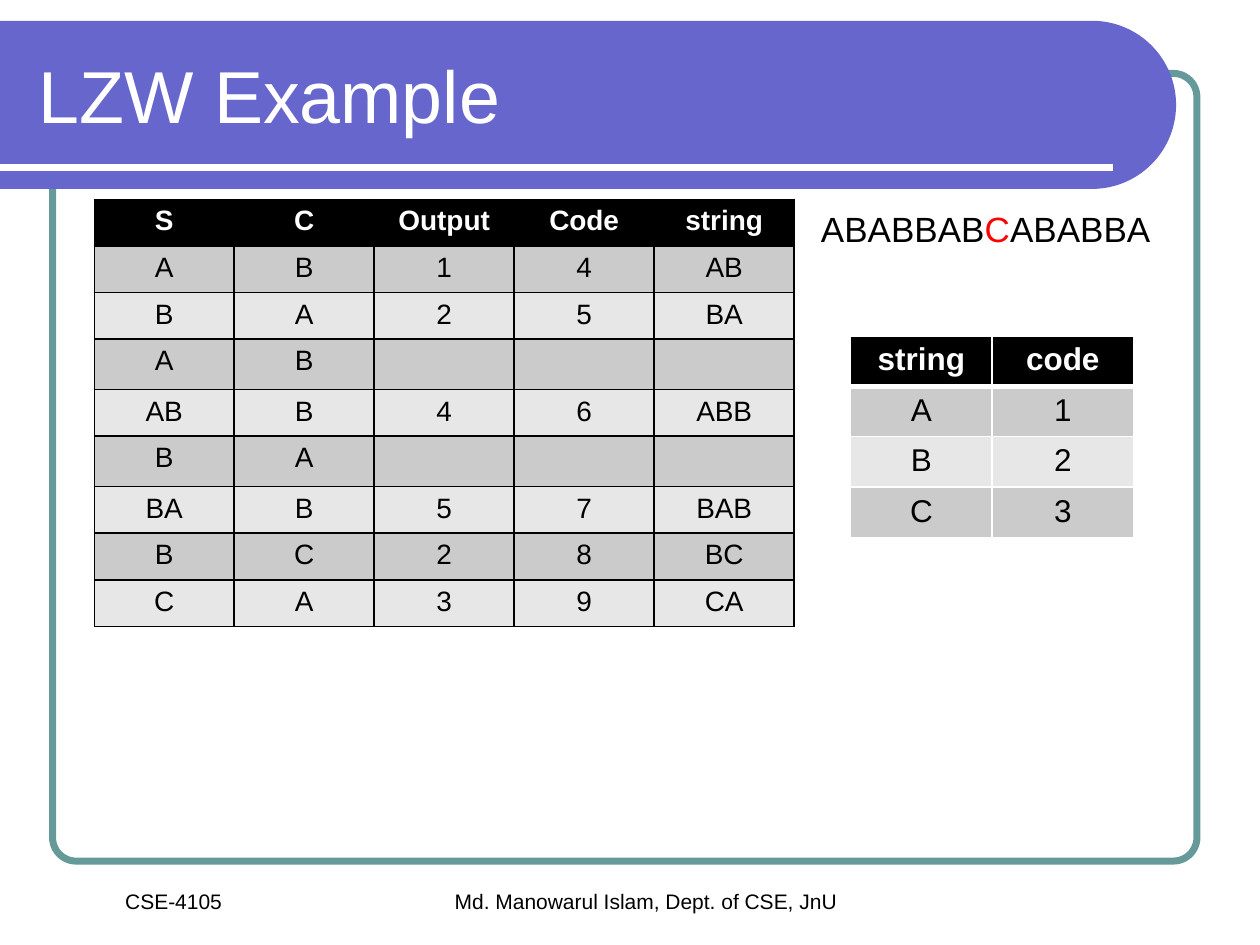
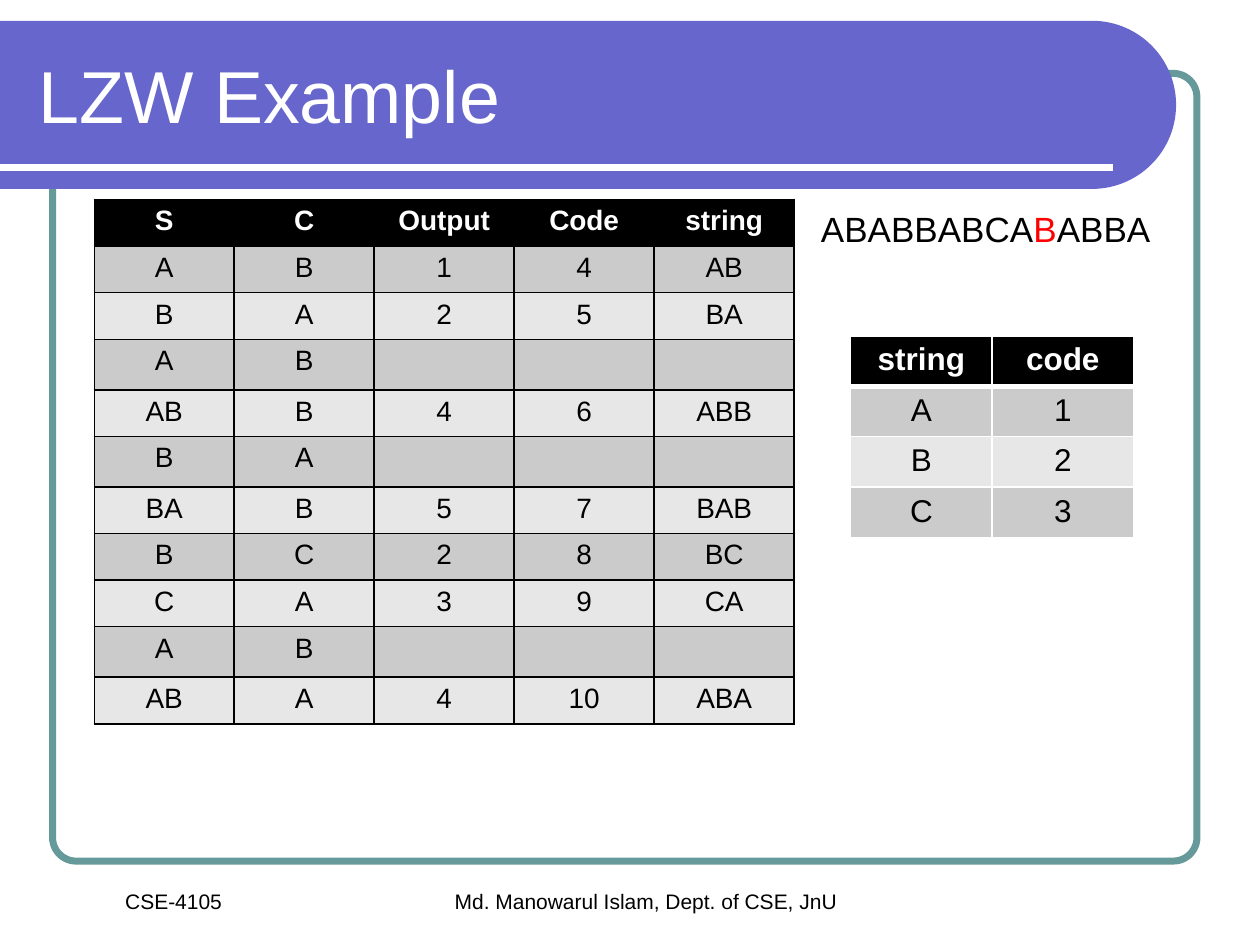
from collections import namedtuple
from math import cos, pi, sin

from lxml.etree import SubElement
from pptx import Presentation
from pptx.dml.color import RGBColor
from pptx.enum.shapes import MSO_CONNECTOR as Connector, MSO_SHAPE as Shape
from pptx.enum.text import MSO_ANCHOR as Anchor, PP_ALIGN as Align
from pptx.oxml.ns import qn
from pptx.util import Cm, Pt

Box = namedtuple("Box", "left top width height")

COLORS = {
    "band": "6666CC",
    "frame": "669999",
    "text": "000000",
    "light": "FFFFFF",
    "current": "FF0000",
    "header": "000000",
    "odd_row": "CBCBCB",
    "even_row": "E7E7E7",
}
FONT = "Arial"

SLIDE = Box(0, 0, 25.4, 19.05)
FRAME = Box(1.06, 1.48, 23.07, 15.88)
BAND = Box(0, 0.42, 23.71, 3.39)
FOOTER = Box(0, 17.78, 25.4, 0.76)
SEQUENCE = Box(16.3, 4.23, 10.37, 1.27)
STEPS = Box(1.9, 4.02, 14.11, 0.94)
CODES = Box(17.15, 6.77, 5.7, 1.01)

MESSAGE = "ABABBABCABABBA"
STEP_HEADER = ("S", "C", "Output", "Code", "string")
STEP_ROWS = [
    ("A", "B", "1", "4", "AB"),
    ("B", "A", "2", "5", "BA"),
    ("A", "B", "", "", ""),
    ("AB", "B", "4", "6", "ABB"),
    ("B", "A", "", "", ""),
    ("BA", "B", "5", "7", "BAB"),
    ("B", "C", "2", "8", "BC"),
    ("C", "A", "3", "9", "CA"),
    ("A", "B", "", "", ""),
    ("AB", "A", "4", "10", "ABA"),
]
CODE_ROWS = [("string", "code"), ("A", "1"), ("B", "2"), ("C", "3")]


def color(name):
    return RGBColor.from_string(COLORS[name])


def in_cm(box):
    return [Cm(length) for length in box]


def add_run(paragraph, text, size, color_name="text", bold=False):
    run = paragraph.add_run()
    run.text = text
    font = run.font
    font.name, font.size, font.bold = FONT, Pt(size), bold
    font.color.rgb = color(color_name)


def add_text_box(slide, box, align=Align.LEFT, anchor=Anchor.TOP):
    """Add an empty wrapping text box and return its first paragraph."""
    frame = slide.shapes.add_textbox(*in_cm(box)).text_frame
    frame.word_wrap = True
    frame.vertical_anchor = anchor
    paragraph = frame.paragraphs[0]
    paragraph.alignment = align
    return paragraph


def add_content_frame(slide, box):
    frame = slide.shapes.add_shape(Shape.ROUNDED_RECTANGLE, *in_cm(box))
    frame.adjustments[0] = 0.03
    frame.shadow.inherit = False
    frame.fill.background()
    frame.line.color.rgb = color("frame")
    frame.line.width = Pt(4)


def add_title_band(slide, box, title):
    """Draw the band with its round right end, the rule and the title."""
    radius = box.height / 2
    center_x, center_y = box.left + box.width - radius, box.top + radius
    angles = [pi * step / 60 - pi / 2 for step in range(61)]
    arc = [(Cm(center_x + radius * cos(a)), Cm(center_y + radius * sin(a))) for a in angles]
    builder = slide.shapes.build_freeform(Cm(box.left), Cm(box.top))
    builder.add_line_segments(arc + [(Cm(box.left), Cm(box.top + box.height))])
    band = builder.convert_to_shape()
    band.shadow.inherit = False
    band.fill.solid()
    band.fill.fore_color.rgb = color("band")
    band.line.fill.background()

    rule_y = Cm(box.top + 2.96)
    rule = slide.shapes.add_connector(
        Connector.STRAIGHT, Cm(box.left), rule_y, Cm(box.left + box.width - 1.27), rule_y)
    rule.line.color.rgb = color("light")
    rule.line.width = Pt(4)
    SubElement(rule._element.spPr, qn("a:effectLst"))

    title_box = Box(box.left + 0.53, box.top + 0.21, 22.28, 2.54)
    add_run(add_text_box(slide, title_box, anchor=Anchor.MIDDLE), title, 42, "light")


def add_footer(slide, box):
    for left, width, text in (
        (4.45, 17.15, "Md. Manowarul Islam, Dept. of CSE, JnU"),
        (0.64, 5.72, "CSE-4105"),
    ):
        part = Box(box.left + left, box.top, width, box.height)
        add_run(add_text_box(slide, part, Align.CENTER), text, 12)


def add_sequence(slide, box, position):
    """Write the message with the symbol at the position marked."""
    paragraph = add_text_box(slide, box)
    paragraph.line_spacing = 0.8
    properties = paragraph._p.get_or_add_pPr()
    properties.set("marL", str(Cm(0.95)))
    properties.set("indent", str(-Cm(0.95)))
    add_run(paragraph, MESSAGE[:position], 20)
    add_run(paragraph, MESSAGE[position], 20, "current")
    add_run(paragraph, MESSAGE[position + 1:], 20)


def set_borders(cell, color_name, top, bottom):
    properties = cell._tc.get_or_add_tcPr()
    for side, width in (("L", 1), ("R", 1), ("T", top), ("B", bottom)):
        line = SubElement(properties, qn(f"a:ln{side}"), w=str(Pt(width)))
        fill = SubElement(line, qn("a:solidFill"))
        SubElement(fill, qn("a:srgbClr"), val=COLORS[color_name])


def add_grid(slide, box, rows, size, border, header_rule=1):
    """Add a striped table; the box height is the height of one row."""
    area = box._replace(height=box.height * len(rows))
    table = slide.shapes.add_table(len(rows), len(rows[0]), *in_cm(area)).table
    table.horz_banding = False
    for row_index, row in enumerate(rows):
        is_header = row_index == 0
        fill = "header" if is_header else ("even_row", "odd_row")[row_index % 2]
        for column_index, value in enumerate(row):
            cell = table.cell(row_index, column_index)
            set_borders(cell, border,
                        top=header_rule if row_index == 1 else 1,
                        bottom=header_rule if is_header else 1)
            cell.fill.solid()
            cell.fill.fore_color.rgb = color(fill)
            if value:
                paragraph = cell.text_frame.paragraphs[0]
                paragraph.alignment = Align.CENTER
                add_run(paragraph, value, size, "light" if is_header else "text", is_header)


def add_example_slide(deck, position, step_count):
    slide = deck.slides.add_slide(deck.slide_layouts[6])
    add_content_frame(slide, FRAME)
    add_title_band(slide, BAND, "LZW Example")
    add_footer(slide, FOOTER)
    add_sequence(slide, SEQUENCE, position)
    add_grid(slide, STEPS, [STEP_HEADER] + STEP_ROWS[:step_count], 16, "text")
    add_grid(slide, CODES, CODE_ROWS, 18, "light", header_rule=3)


def main():
    deck = Presentation()
    deck.slide_width, deck.slide_height = Cm(SLIDE.width), Cm(SLIDE.height)
    add_example_slide(deck, position=7, step_count=8)
    add_example_slide(deck, position=9, step_count=10)
    deck.save("out.pptx")


if __name__ == "__main__":
    main()
